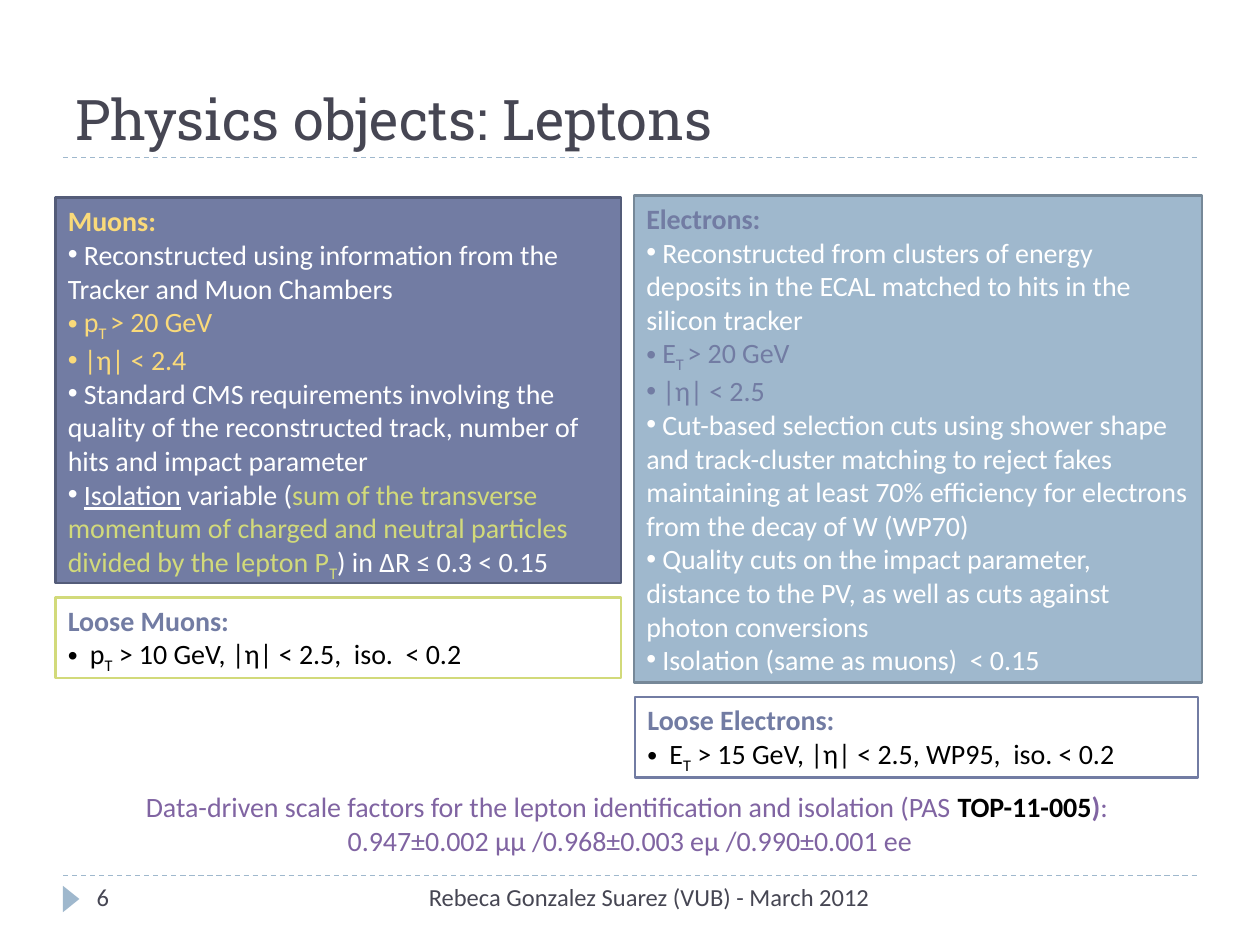
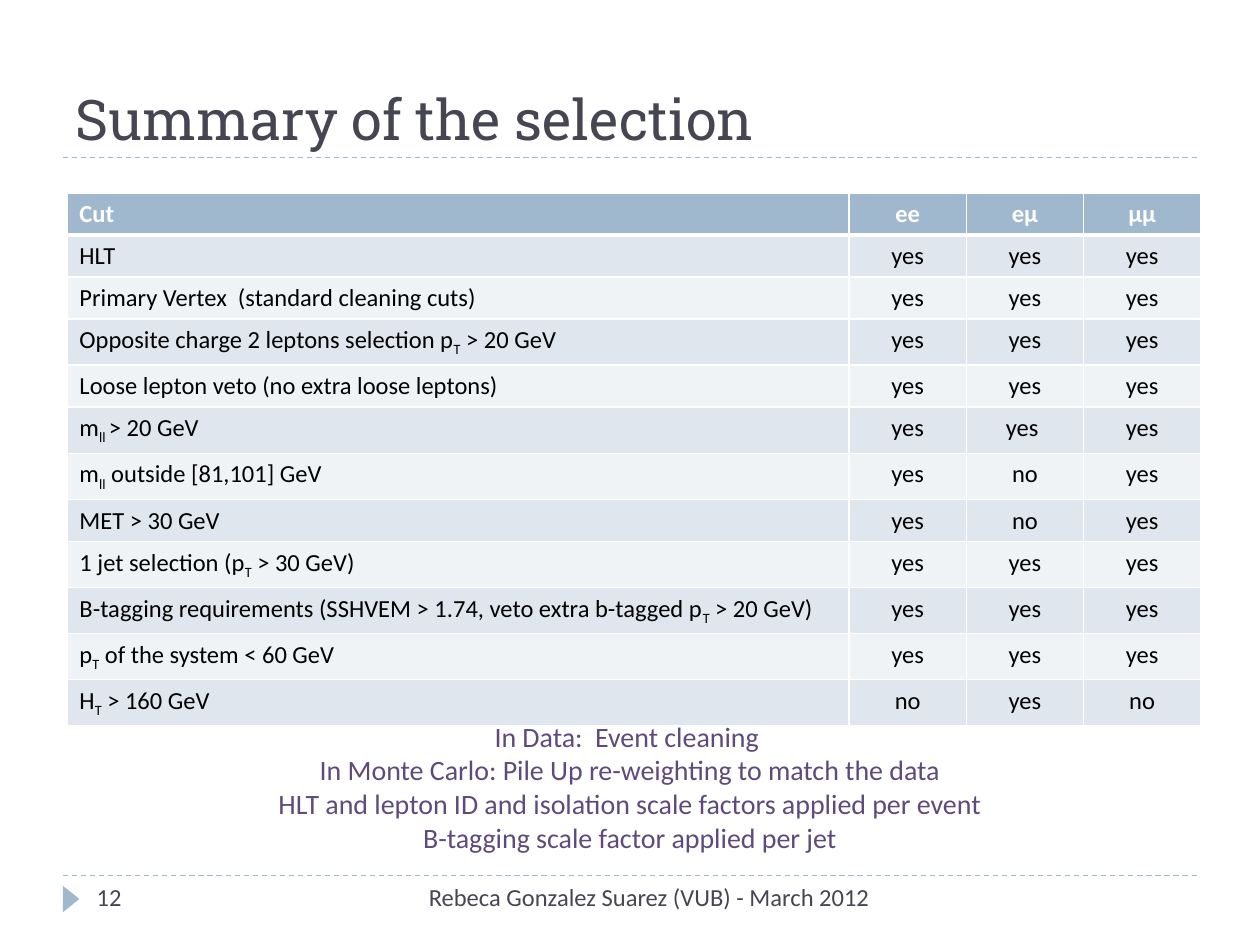
from lxml import etree
from pptx import Presentation
from pptx.dml.color import RGBColor
from pptx.enum.dml import MSO_LINE
from pptx.enum.shapes import MSO_CONNECTOR, MSO_SHAPE
from pptx.enum.text import MSO_ANCHOR, MSO_AUTO_SIZE, PP_ALIGN
from pptx.oxml.ns import qn
from pptx.util import Pt

LEFT, CENTER, RIGHT = PP_ALIGN.LEFT, PP_ALIGN.CENTER, PP_ALIGN.RIGHT
TOP, BOTTOM = MSO_ANCHOR.TOP, MSO_ANCHOR.BOTTOM
FIT_SHAPE = MSO_AUTO_SIZE.SHAPE_TO_FIT_TEXT
RECTANGLE, TRIANGLE = MSO_SHAPE.RECTANGLE, MSO_SHAPE.ISOSCELES_TRIANGLE
STRAIGHT, DASH = MSO_CONNECTOR.STRAIGHT, MSO_LINE.DASH

# Palette
INK, BLACK, WHITE = "464653", "000000", "FFFFFF"
SKY, SKY_EDGE = "9FB8CD", "768898"
INDIGO, INDIGO_EDGE = "727CA3", "545C79"
YELLOW, LIME = "FADA7A", "D2DA7A"
VIOLET, DEEP_VIOLET = "8064A2", "604A7B"
BAND_COLORS = ("F0F3F6", "DFE6ED")

AUTHOR_LINE = "Rebeca Gonzalez Suarez (VUB) - March 2012"
MARGIN, CONTENT_WIDTH = 36, 648
FOOTER_TOP = 500.4


def rgb(color):
    return RGBColor.from_string(color)


def put(paragraph, text, size=16, color=BLACK, font="Calibri", bold=False,
        underline=False):
    """Add text to a paragraph; parts between ~ marks are subscripts."""
    for index, part in enumerate(text.split("~")):
        if not part:
            continue
        run = paragraph.add_run()
        run.text = part
        run.font.size, run.font.name = Pt(size), font
        run.font.bold, run.font.underline = bold, underline
        run.font.color.rgb = rgb(color)
        if index % 2:
            run._r.get_or_add_rPr().set("baseline", "-25000")


def bullet(paragraph, hang=0):
    props = paragraph._p.get_or_add_pPr()
    props.set("marL", str(Pt(hang)))
    props.set("indent", str(-Pt(hang)))
    etree.SubElement(props, qn("a:buFont"), typeface="Arial")
    etree.SubElement(props, qn("a:buChar"), char="•")


def cell_borders(cell, top, bottom):
    props = cell._tc.get_or_add_tcPr()
    for side, width in (("L", 1), ("R", 1), ("T", top), ("B", bottom)):
        edge = etree.SubElement(props, qn(f"a:ln{side}"), w=str(Pt(width)))
        fill = etree.SubElement(edge, qn("a:solidFill"))
        etree.SubElement(fill, qn("a:srgbClr"), val=WHITE)


class Deck:
    def __init__(self):
        self.prs = Presentation()
        self.prs.slide_width, self.prs.slide_height = Pt(720), Pt(540)
        self.slide = None

    def new_slide(self, title, number):
        """Start a slide with its title, rules and footer."""
        self.slide = self.prs.slides.add_slide(self.prs.slide_layouts[6])
        for rule_y in (90, FOOTER_TOP):
            self.rule(rule_y)
        marker = self.shape(TRIANGLE, (33.1, 509, 15.1, 9.4), SKY)
        marker.rotation = 90
        self.text((MARGIN, 18, CONTENT_WIDTH, 72), [title], anchor=BOTTOM,
                  size=32, font="Roboto Slab", color=INK)
        self.text((228.2, FOOTER_TOP, 275.8, 28.8), [AUTHOR_LINE],
                  align=RIGHT, size=14, color=INK)
        self.text((48.2, FOOTER_TOP, 156.2, 28.8), [str(number)],
                  size=14, color=INK)

    def rule(self, y):
        line = self.slide.shapes.add_connector(
            STRAIGHT, Pt(MARGIN), Pt(y), Pt(MARGIN + CONTENT_WIDTH), Pt(y))
        line.line.color.rgb = rgb(SKY)
        line.line.width = Pt(0.75)
        line.line.dash_style = DASH
        etree.SubElement(line._element.spPr, qn("a:effectLst"))

    def shape(self, preset, area, fill, edge=None):
        shape = self.slide.shapes.add_shape(preset, *map(Pt, area))
        shape.shadow.inherit = False
        shape.fill.solid()
        shape.fill.fore_color.rgb = rgb(fill)
        if edge:
            shape.line.color.rgb = rgb(edge)
            shape.line.width = Pt(1.5)
        else:
            shape.line.fill.background()
        return shape

    def fill_frame(self, frame, paragraphs, align=LEFT, **style):
        """Fill a frame; a paragraph is a string or a list of (text, format)."""
        for index, content in enumerate(paragraphs):
            paragraph = frame.add_paragraph() if index else frame.paragraphs[0]
            paragraph.alignment = align
            parts = [(content, {})] if isinstance(content, str) else content
            for text, changes in parts:
                put(paragraph, text, **{**style, **changes})

    def text(self, area, paragraphs, anchor=TOP, **style):
        frame = self.slide.shapes.add_textbox(*map(Pt, area)).text_frame
        frame.word_wrap = True
        frame.vertical_anchor = anchor
        self.fill_frame(frame, paragraphs, **style)

    def card(self, area, heading, items, fill, edge, heading_color,
             color=WHITE, hang=0, plain_items=()):
        """Box with a bold heading and bullets; plain_items get no bullet."""
        frame = self.shape(RECTANGLE, area, fill, edge).text_frame
        frame.word_wrap = True
        frame.auto_size = FIT_SHAPE
        frame.vertical_anchor = TOP
        title = [(heading, {"bold": True, "color": heading_color})]
        self.fill_frame(frame, [title, *items], color=color)
        for index, paragraph in enumerate(frame.paragraphs[1:]):
            if index not in plain_items:
                bullet(paragraph, hang)

    def table(self, area, widths, rows):
        grid = self.slide.shapes.add_table(
            len(rows), len(widths), *map(Pt, area)).table
        for column, width in zip(grid.columns, widths):
            column.width = Pt(width)
        for r, row in enumerate(rows):
            header = r == 0
            for c, value in enumerate(row):
                cell = grid.cell(r, c)
                cell_borders(cell, top=3 if r == 1 else 1,
                             bottom=3 if header else 1)
                cell.fill.solid()
                cell.fill.fore_color.rgb = rgb(SKY if header else BAND_COLORS[r % 2])
                self.fill_frame(cell.text_frame, [value],
                                align=CENTER if c else LEFT, size=14,
                                bold=header, color=WHITE if header else BLACK)


def leptons_slide(deck):
    deck.new_slide("Physics objects: Leptons", 6)
    yellow, indigo, lime = ({"color": c} for c in (YELLOW, INDIGO, LIME))

    # Main selections
    deck.card((31.7, 113, 323.3, 220.3), "Muons:", [
        " Reconstructed using information from the Tracker and Muon Chambers",
        [(" p~T ~> 20 GeV", yellow)],
        [(" |η| < 2.4", yellow)],
        " Standard CMS requirements involving the quality of the "
        "reconstructed track, number of hits and impact parameter",
        [(" ", {}), ("Isolation", {"underline": True}), (" variable (", {}),
         ("sum of the transverse", lime)],
        [("momentum of charged and neutral particles divided by the "
          "lepton P~T~", lime), (") in ΔR ≤ 0.3 < 0.15", {})],
    ], INDIGO, INDIGO_EDGE, YELLOW, plain_items=(5,))
    deck.card((362.2, 111.6, 324.7, 278.6), "Electrons:", [
        " Reconstructed from clusters of energy deposits in the ECAL "
        "matched to hits in the silicon tracker",
        [(" E~T ~> 20 GeV", indigo)],
        [(" |η| < 2.5", indigo)],
        " Cut-based selection cuts using shower shape and track-cluster "
        "matching to reject fakes maintaining at least 70% efficiency for "
        "electrons from the decay of W (WP70)",
        " Quality cuts on the impact parameter, distance to the PV, as well "
        "as cuts against photon conversions",
        " Isolation (same as muons)  < 0.15",
    ], SKY, SKY_EDGE, INDIGO)

    # Loose selections
    deck.card((31.7, 341.3, 323.3, 46.1), "Loose Muons:",
              ["p~T~ > 10 GeV, |η| < 2.5,  iso.  < 0.2"],
              WHITE, LIME, INDIGO, color=BLACK, hang=12.6)
    deck.card((362.9, 398.2, 321.8, 46.1), "Loose Electrons:",
              ["E~T~ > 15 GeV, |η| < 2.5, WP95,  iso. < 0.2"],
              WHITE, INDIGO, INDIGO, color=BLACK, hang=12.6)

    # Scale factors
    deck.text((MARGIN, 447.8, CONTENT_WIDTH, 46.1), [
        [("Data-driven scale factors for the lepton identification and "
          "isolation (PAS ", {}),
         ("TOP-11-005", {"color": BLACK, "bold": True}),
         (")", {"bold": True}), (": ", {})],
        "0.947±0.002 µµ /0.968±0.003 eµ /0.990±0.001 ee",
    ], align=CENTER, color=VIOLET)


def selection_slide(deck):
    deck.new_slide("Summary of the selection", 12)

    # Notes under the table
    deck.text((MARGIN, 407.5, CONTENT_WIDTH, 85), [
        "In Data:  Event cleaning ",
        "In Monte Carlo: Pile Up re-weighting to match the data",
        "HLT and lepton ID and isolation scale factors applied per event",
        "B-tagging scale factor applied per jet",
    ], align=CENTER, color=DEEP_VIOLET)

    # Cuts per channel
    all_channels = ("yes", "yes", "yes")
    same_flavour = ("yes", "no", "yes")
    mixed_flavour = ("no", "yes", "no")
    deck.table((38.2, 110.2, CONTENT_WIDTH, 288), (447, 67, 67, 67), [
        ("Cut", "ee", "eµ", "µµ"),
        ("HLT", *all_channels),
        ("Primary Vertex  (standard cleaning cuts)", *all_channels),
        ("Opposite charge 2 leptons selection p~T~ > 20 GeV", *all_channels),
        ("Loose lepton veto (no extra loose leptons)", *all_channels),
        ("m~ll ~> 20 GeV", "yes", "yes ", "yes"),
        ("m~ll~ outside [81,101] GeV", *same_flavour),
        ("MET > 30 GeV", *same_flavour),
        ("1 jet selection (p~T~ > 30 GeV)", *all_channels),
        ("B-tagging requirements (SSHVEM > 1.74, veto extra b-tagged "
         "p~T~ > 20 GeV)", *all_channels),
        ("p~T~ of the system < 60 GeV", *all_channels),
        ("H~T~ > 160 GeV", *mixed_flavour),
    ])


def main():
    deck = Deck()
    leptons_slide(deck)
    selection_slide(deck)
    deck.prs.save("out.pptx")


if __name__ == "__main__":
    main()
